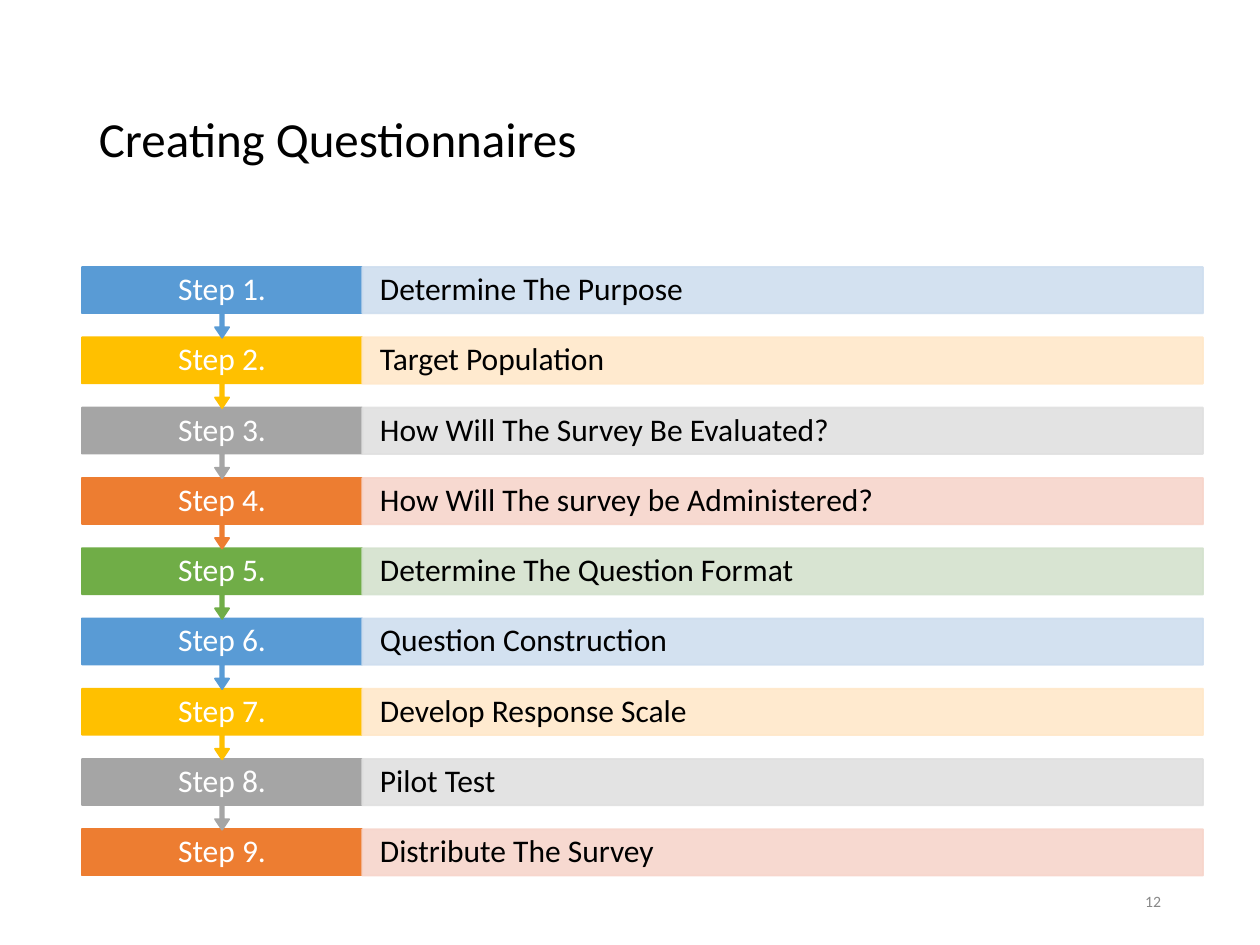
from pptx import Presentation
from pptx.dml.color import RGBColor
from pptx.enum.shapes import MSO_SHAPE
from pptx.enum.text import MSO_ANCHOR, PP_ALIGN
from pptx.oxml.ns import qn
from pptx.util import Pt
from lxml.etree import SubElement

# Content
TITLE = "Creating Questionnaires"
PAGE_NUMBER = "12"
STEPS = [
    "Determine The Purpose",
    "Target Population",
    "How Will The Survey Be Evaluated?",
    "How Will The survey be Administered?",
    "Determine The Question Format",
    "Question Construction",
    "Develop Response Scale",
    "Pilot Test",
    "Distribute The Survey",
]

# Colours: strong for the step label, pale for its description
BLACK = RGBColor(0x00, 0x00, 0x00)
WHITE = RGBColor(0xFF, 0xFF, 0xFF)
GRAY = RGBColor(0x88, 0x88, 0x88)
STEP_COLORS = [
    (RGBColor(0x59, 0x9B, 0xD5), RGBColor(0xCF, 0xDE, 0xEF)),
    (RGBColor(0xFF, 0xC0, 0x00), RGBColor(0xFF, 0xE8, 0xCA)),
    (RGBColor(0xA5, 0xA5, 0xA5), RGBColor(0xE0, 0xE0, 0xE0)),
    (RGBColor(0xED, 0x7D, 0x31), RGBColor(0xF7, 0xD5, 0xCB)),
    (RGBColor(0x70, 0xAD, 0x47), RGBColor(0xD4, 0xE2, 0xCE)),
]

# Layout in points
FONT = "Calibri"
LEFT, TOP = 46.8, 152.6
LABEL_WIDTH, DETAIL_WIDTH = 160.2, 480.4
BAR_HEIGHT, CALLOUT_HEIGHT, PITCH = 26.5, 40.4, 40.16
CALLOUT_ADJUSTMENTS = (0.05, 0.1, 0.15, 0.65)


def write_text(shape, text, size, color, align, inset=7.2, spacing=0.9):
    text_frame = shape.text_frame
    text_frame.text = text
    text_frame.word_wrap = True
    text_frame.vertical_anchor = MSO_ANCHOR.MIDDLE
    text_frame.margin_left = text_frame.margin_right = Pt(inset)
    text_frame.margin_top = text_frame.margin_bottom = Pt(0)
    paragraph = text_frame.paragraphs[0]
    paragraph.alignment = align
    paragraph.line_spacing = spacing
    font = paragraph.runs[0].font
    font.name, font.size, font.color.rgb = FONT, Pt(size), color


def add_text(slide, box, *style, **options):
    shape = slide.shapes.add_textbox(*map(Pt, box))
    write_text(shape, *style, **options)


def add_block(slide, kind, box, color, opacity=100):
    shape = slide.shapes.add_shape(kind, *map(Pt, box))
    shape.shadow.inherit = False
    shape.fill.solid()
    shape.fill.fore_color.rgb = color
    shape.line.color.rgb = color
    shape.line.width = Pt(1)
    if opacity < 100:
        for color_element in shape.element.spPr.iter(qn("a:srgbClr")):
            SubElement(color_element, qn("a:alpha"), val=str(opacity * 1000))
    return shape


def add_step(slide, index):
    strong, pale = STEP_COLORS[index % len(STEP_COLORS)]
    top = TOP + index * PITCH
    label_box = (LEFT, top, LABEL_WIDTH, BAR_HEIGHT)

    # Label bar; every step but the last points down to the next one
    if index == len(STEPS) - 1:
        add_block(slide, MSO_SHAPE.RECTANGLE, label_box, strong)
    else:
        callout_box = (LEFT, top, LABEL_WIDTH, CALLOUT_HEIGHT)
        callout = add_block(slide, MSO_SHAPE.UP_ARROW_CALLOUT, callout_box, strong)
        callout.rotation = 180
        for position, value in enumerate(CALLOUT_ADJUSTMENTS):
            callout.adjustments[position] = value
    add_text(slide, label_box, f"Step {index + 1}.", 18, WHITE,
             PP_ALIGN.CENTER, inset=11.4)

    # Description bar
    detail_box = (LEFT + LABEL_WIDTH, top, DETAIL_WIDTH, BAR_HEIGHT)
    detail = add_block(slide, MSO_SHAPE.RECTANGLE, detail_box, pale, opacity=90)
    write_text(detail, STEPS[index], 18, BLACK, PP_ALIGN.LEFT, inset=10.1)


def main():
    presentation = Presentation()
    presentation.slide_width, presentation.slide_height = Pt(720), Pt(540)
    slide = presentation.slides.add_slide(presentation.slide_layouts[6])

    add_text(slide, (49.5, 28.8, 621, 104.4), TITLE, 28, BLACK, PP_ALIGN.LEFT)

    # Last step first, so each arrow tip lies over the step below
    for index in reversed(range(len(STEPS))):
        add_step(slide, index)

    add_text(slide, (508.5, 500.5, 162, 28.8), PAGE_NUMBER, 9, GRAY,
             PP_ALIGN.RIGHT, spacing=1.0)
    presentation.save("out.pptx")


if __name__ == "__main__":
    main()
